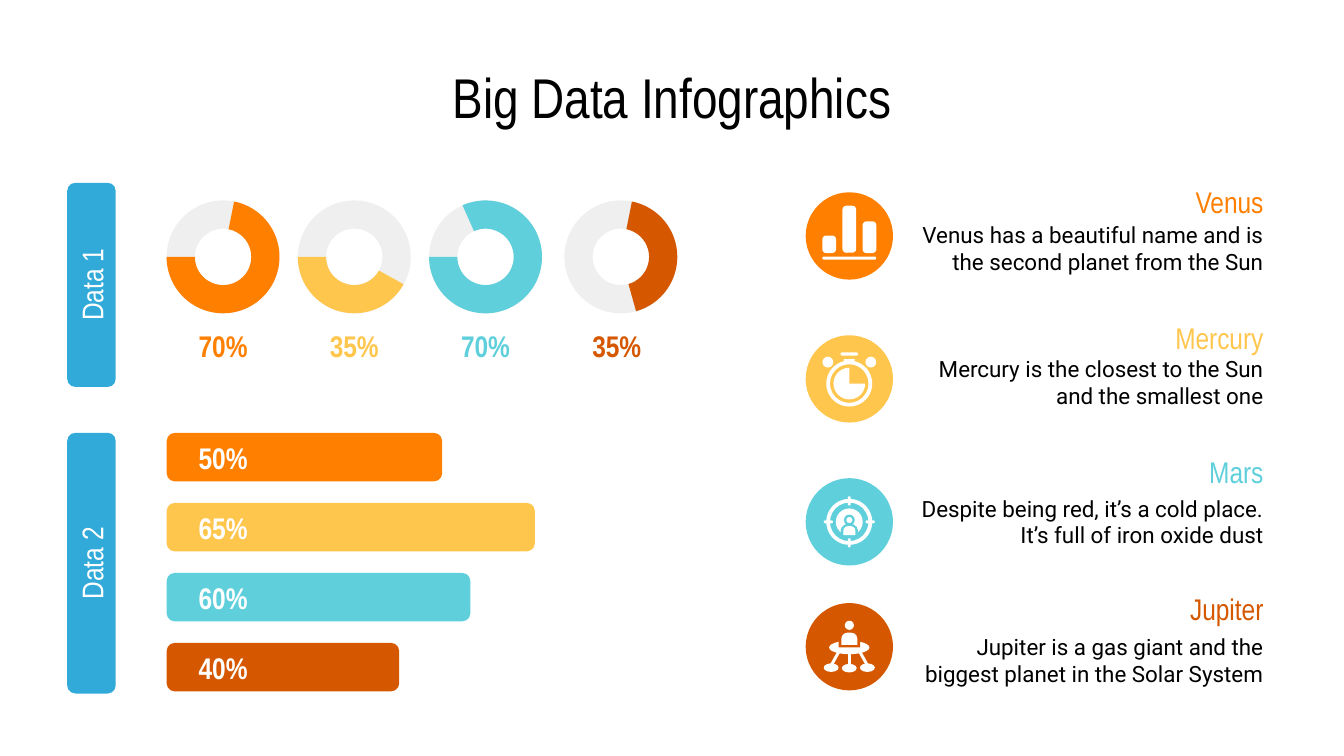
from lxml import etree
from pptx import Presentation
from pptx.dml.color import RGBColor
from pptx.enum.shapes import MSO_CONNECTOR, MSO_SHAPE
from pptx.enum.text import MSO_ANCHOR, MSO_AUTO_SIZE, PP_ALIGN
from pptx.oxml.ns import qn
from pptx.util import Pt

ROUNDED = MSO_SHAPE.ROUNDED_RECTANGLE
RECT = MSO_SHAPE.RECTANGLE
DOME = MSO_SHAPE.ROUND_2_SAME_RECTANGLE
OVAL = MSO_SHAPE.OVAL
ARC = MSO_SHAPE.BLOCK_ARC
RING = MSO_SHAPE.DONUT
PIE = MSO_SHAPE.PIE
CENTER, RIGHT = PP_ALIGN.CENTER, PP_ALIGN.RIGHT

COLORS = {
    "blue": "32AAD9", "orange": "FF8001", "yellow": "FFC64E", "teal": "5FD0DB",
    "rust": "D55800", "grey": "EFEFEF", "white": "FFFFFF", "black": "000000",
}
FRAME_FORMAT = {
    "word_wrap": True, "auto_size": MSO_AUTO_SIZE.NONE, "vertical_anchor": MSO_ANCHOR.MIDDLE,
    "margin_left": Pt(7.2), "margin_right": Pt(7.2), "margin_top": Pt(7.2), "margin_bottom": Pt(7.2),
}


def add_form(shapes, kind, left, top, width, height, color, adjustments=()):
    form = shapes.add_shape(kind, Pt(left), Pt(top), Pt(width), Pt(height))
    form.shadow.inherit = False
    form.fill.solid()
    form.fill.fore_color.rgb = RGBColor.from_string(COLORS[color])
    form.line.fill.background()
    for index, value in enumerate(adjustments):
        form.adjustments[index] = value
    return form


def write(box, text, color, align=CENTER, size=16, name="Arial Narrow", bold=False):
    frame = box.text_frame
    for key, value in FRAME_FORMAT.items():
        setattr(frame, key, value)
    para = frame.paragraphs[0]
    para.alignment = align
    span = para.add_run()
    span.text = text
    for key, value in {"size": Pt(size), "name": name, "bold": bold}.items():
        setattr(span.font, key, value)
    span.font.color.rgb = RGBColor.from_string(COLORS[color])


deck = Presentation()
deck.slide_width, deck.slide_height = Pt(720), Pt(405)
page = deck.slides.add_slide(deck.slide_layouts[5])
shapes = page.shapes

title = shapes.title
title.left, title.top, title.width, title.height = Pt(36), Pt(32.4), Pt(648), Pt(38.2)
write(title, "Big Data Infographics", "black", size=30)

TAB_X, BAR_HEIGHT, LABEL_WIDTH = 49, 26, 60.5
for text, middle, length in [("Data 1", 152.6, 109.4), ("Data 2", 301.7, 139.7)]:
    top = middle - BAR_HEIGHT / 2
    tab = add_form(shapes, ROUNDED, TAB_X - length / 2, top, length, BAR_HEIGHT, "blue", [0.167])
    label = shapes.add_textbox(Pt(TAB_X - 36.7), Pt(top), Pt(73.4), Pt(BAR_HEIGHT))
    tab.rotation = label.rotation = 270
    write(label, text, "white")

CHART_LEFT, RING_STEP, RING_SIZE = 89.3, 70.3, 60.5
FULL_RING = (108, 107.99, 0.25)
rings = [
    ("70%", "orange", (168.8, 107.99, 0.25), 0),
    ("35%", "yellow", (17.42, 107.99, 0.25), 0),
    ("70%", "teal", (147.58, 107.99, 0.25), 0),
    ("35%", "rust", (168.8, 44.61, 0.25), 2.2),
]
for index, (text, color, arc, shift) in enumerate(rings):
    left = CHART_LEFT + RING_STEP * index
    for part_color, part_arc in [("grey", FULL_RING), (color, arc)]:
        add_form(shapes, ARC, left + shift, 107.4, RING_SIZE, RING_SIZE, part_color, part_arc)
    label = shapes.add_textbox(Pt(left), Pt(172.1), Pt(LABEL_WIDTH), Pt(BAR_HEIGHT))
    write(label, text, color, bold=True)

bars = [("50%", "orange", 147.6), ("65%", "yellow", 197.3), ("60%", "teal", 162.7), ("40%", "rust", 124.6)]
for index, (text, color, width) in enumerate(bars):
    top = 231.9 + 37.5 * index
    add_form(shapes, ROUNDED, CHART_LEFT, top, width, BAR_HEIGHT, color, [0.167])
    label = shapes.add_textbox(Pt(CHART_LEFT), Pt(top), Pt(LABEL_WIDTH), Pt(BAR_HEIGHT))
    write(label, text, "white", bold=True)

RIGHT_EDGE = 684
planets = [
    ("Venus", "Venus has a beautiful name and is the second planet from the Sun",
     "orange", 103, 97.9, 136.8, 118.1, 29.5),
    ("Mercury", "Mercury is the closest to the Sun and the smallest one",
     "yellow", 179.6, 170.6, 136.8, 190.1, 29.5),
    ("Mars", "Despite being red, it’s a cold place. It’s full of iron oxide dust",
     "teal", 256.2, 242.6, 136.8, 262.1, 34.6),
    ("Jupiter", "Jupiter is a gas giant and the biggest planet in the Solar System",
     "rust", 323.1, 316.1, 129.6, 336.2, 34.6),
]
CIRCLE_LEFT, CIRCLE_SIZE = 431.6, 46.8
CIRCLE_X = CIRCLE_LEFT + CIRCLE_SIZE / 2
icons = {
    "Venus": [
        (ROUNDED, 0, 11.9, 28.8, 1.7, "white", [0.5]),
        (ROUNDED, -10.8, 4.5, 7.4, 9.4, "white", [0.28]),
        (ROUNDED, 0, -3.6, 7.4, 25.2, "white", [0.28]),
        (ROUNDED, 10.8, 0.7, 7.4, 17, "white", [0.28]),
    ],
    "Mercury": [
        (RING, 0, 2.5, 24.6, 24.6, "white", [0.08]),
        (PIE, 0, 2.5, 17, 17, "white", []),
        (ROUNDED, 0, -13.3, 9.4, 1.7, "white", [0.5]),
        (RECT, 0, -9.6, 5.8, 2, "white", []),
        (OVAL, -11.5, -9, 5.8, 5.8, "white", []),
        (OVAL, 11.5, -9, 5.8, 5.8, "white", []),
    ],
    "Mars": [
        (RING, 0, 0, 24.6, 24.6, "white", [0.08]),
        (ROUNDED, -11.2, 0, 5, 1.6, "white", [0.5]),
        (ROUNDED, 11.2, 0, 5, 1.6, "white", [0.5]),
        (ROUNDED, 0, -11.2, 1.6, 5, "white", [0.5]),
        (ROUNDED, 0, 11.2, 1.6, 5, "white", [0.5]),
        (OVAL, 0, 0, 14.4, 14.4, "white", []),
        (OVAL, 0, 4.9, 9.4, 8, "teal", []),
        (OVAL, 0, -1, 5.8, 5.8, "teal", []),
        (OVAL, 0, -1, 3.2, 3.2, "white", []),
        (DOME, 0, 4.7, 6.5, 4.8, "white", [0.5]),
    ],
    "Jupiter": [
        (OVAL, 0, -11.5, 4.9, 4.9, "white", []),
        (OVAL, 0, 0.4, 21.6, 7.2, "white", []),
        (RECT, 0, -3.2, 11.5, 7.2, "rust", []),
        (DOME, 0, -4.3, 8.6, 6.5, "white", [0.5]),
        (OVAL, -9.7, 11.2, 8, 4.6, "white", []),
        (OVAL, 0, 11.5, 8, 4.6, "white", []),
        (OVAL, 9.7, 11.2, 8, 4.6, "white", []),
    ],
}
legs = {"Jupiter": [(-5.8, -9.7), (0, 0), (5.8, 9.7)]}

for name, text, color, circle_top, name_top, name_width, text_top, text_height in planets:
    add_form(shapes, OVAL, CIRCLE_LEFT, circle_top, CIRCLE_SIZE, CIRCLE_SIZE, color)
    middle = circle_top + CIRCLE_SIZE / 2
    icon = shapes.add_group_shape()
    for kind, x, y, width, height, part_color, adjustments in icons[name]:
        add_form(icon.shapes, kind, CIRCLE_X + x - width / 2, middle + y - height / 2,
                 width, height, part_color, adjustments)
    for start, end in legs.get(name, []):
        leg = icon.shapes.add_connector(MSO_CONNECTOR.STRAIGHT, Pt(CIRCLE_X + start), Pt(middle + 3),
                                        Pt(CIRCLE_X + end), Pt(middle + 10))
        leg.line.width = Pt(1.6)
        leg.line.color.rgb = RGBColor.from_string(COLORS["white"])
        etree.SubElement(leg.element.spPr, qn("a:effectLst"))
    heading = shapes.add_textbox(Pt(RIGHT_EDGE - name_width), Pt(name_top), Pt(name_width), Pt(20.2))
    write(heading, name, color, RIGHT)
    body = shapes.add_textbox(Pt(RIGHT_EDGE - 202.3), Pt(text_top), Pt(202.3), Pt(text_height))
    write(body, text, "black", RIGHT, 12, "Roboto")

deck.save("out.pptx")
